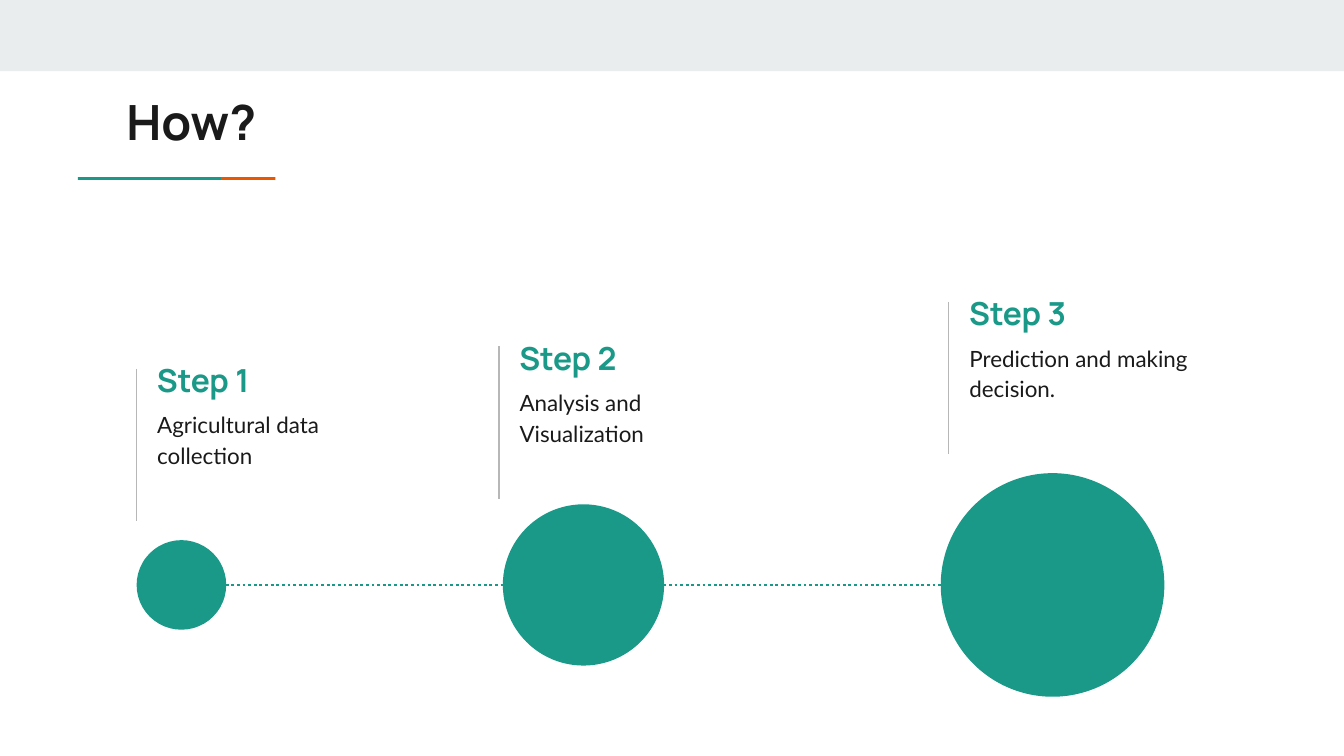
from lxml.etree import SubElement
from pptx import Presentation
from pptx.dml.color import RGBColor
from pptx.enum.dml import MSO_LINE
from pptx.enum.shapes import MSO_CONNECTOR, MSO_SHAPE
from pptx.enum.text import MSO_ANCHOR, MSO_AUTO_SIZE, PP_ALIGN
from pptx.oxml.ns import qn
from pptx.util import Pt

COLORS = {
    "band": "E9EDEE",
    "teal": "1A9988",
    "orange": "EB5600",
    "ink": "1A1A1A",
    "rule": "B7B7B7",
}


def write_text(shape, text, box, font="Manrope", size=17, color="teal", bold=True,
               anchor=MSO_ANCHOR.TOP, line_spacing=1.0, space_after=0):
    shape.left, shape.top, shape.width, shape.height = [Pt(value) for value in box]
    frame = shape.text_frame
    frame.text = text
    frame.word_wrap = True
    frame.auto_size = MSO_AUTO_SIZE.NONE
    frame.vertical_anchor = anchor
    frame.margin_left = frame.margin_right = Pt(7.2)
    frame.margin_top = frame.margin_bottom = Pt(7.2)
    paragraph = frame.paragraphs[0]
    paragraph.alignment = PP_ALIGN.LEFT
    paragraph.line_spacing = line_spacing
    paragraph.space_before = Pt(0)
    paragraph.space_after = Pt(space_after)
    properties = paragraph._p.get_or_add_pPr()
    properties.set("marL", "0")
    properties.set("indent", "0")
    SubElement(properties, qn("a:buNone"))
    run_font = paragraph.runs[0].font
    run_font.name = font
    run_font.size = Pt(size)
    run_font.bold = bold
    run_font.color.rgb = RGBColor.from_string(COLORS[color])


def draw(kind, box, color, width=None):
    lengths = [Pt(value) for value in box]
    if width:
        shape = slide.shapes.add_connector(kind, *lengths)
        shape.line.width = Pt(width)
        shape.line.color.rgb = RGBColor.from_string(COLORS[color])
        SubElement(shape._element.spPr, qn("a:effectLst"))
    else:
        shape = slide.shapes.add_shape(kind, *lengths)
        shape.shadow.inherit = False
        shape.fill.solid()
        shape.fill.fore_color.rgb = RGBColor.from_string(COLORS[color])
        shape.line.fill.background()
    return shape


presentation = Presentation()
presentation.slide_width = Pt(720)
presentation.slide_height = Pt(405)
slide = presentation.slides.add_slide(presentation.slide_layouts.get_by_name("Comparison"))
title, *bodies, spare = slide.placeholders
spare._element.getparent().remove(spare._element)

draw(MSO_SHAPE.RECTANGLE, (0, 0, 720, 38.2), "band")
draw(MSO_SHAPE.RECTANGLE, (118.4, 94.9, 29.1, 1.5), "orange")
draw(MSO_SHAPE.RECTANGLE, (41.8, 94.9, 76.6, 1.5), "teal")
write_text(title, "How?", (60.5, 41.8, 605.5, 42.5), size=26, color="ink")

axis = 313.4
timeline = draw(MSO_CONNECTOR.STRAIGHT, (121, axis, 504, axis), "teal", 1.5)
timeline.line.dash_style = MSO_LINE.ROUND_DOT

steps = [
    ("Step 1", "Agricultural data collection", 73.2, 197.6, 73.2, 48),
    ("Step 2", "Analysis and Visualization", 267.3, 185.6, 269.4, 86.4),
    ("Step 3", "Prediction and making decision.", 508.3, 161.8, 504, 119.8),
]
for body, (heading, detail, rule_x, rule_y, circle_x, diameter) in zip(bodies, steps):
    draw(MSO_CONNECTOR.STRAIGHT, (rule_x, rule_y, rule_x, rule_y + 81.5), "rule", 0.75)
    text_x = rule_x + 3.8
    heading_box = slide.shapes.add_textbox(0, 0, 0, 0)
    write_text(heading_box, heading, (text_x, rule_y - 9.6, 142.6, 31),
               anchor=MSO_ANCHOR.MIDDLE)
    write_text(body, detail, (text_x, rule_y + 13.5, 142.6, 45.4), font="Lato", size=12,
               color="ink", bold=False, line_spacing=1.15, space_after=16)
    draw(MSO_SHAPE.OVAL, (circle_x, axis - diameter / 2, diameter, diameter), "teal")

presentation.save("out.pptx")
